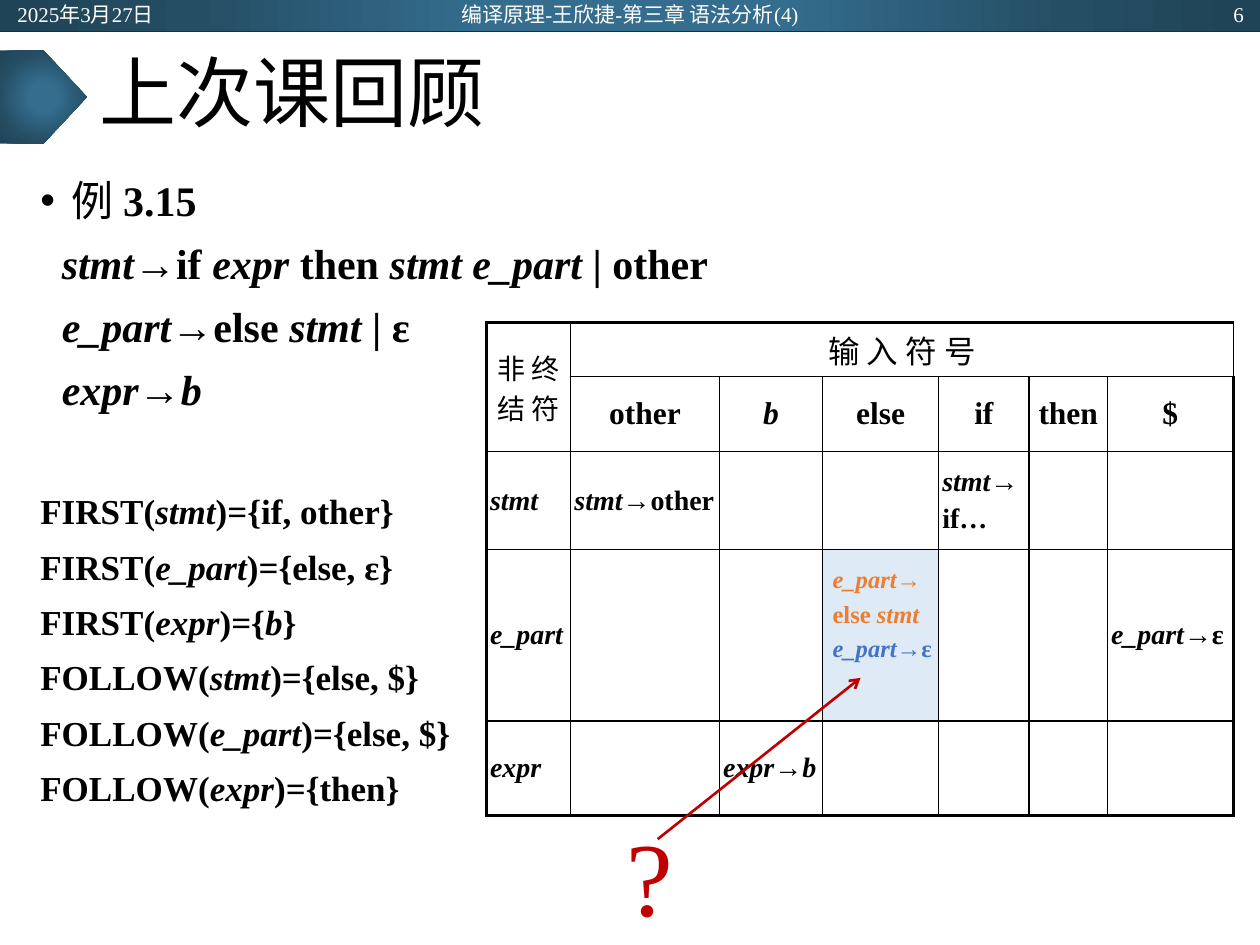
from dataclasses import dataclass

from lxml.etree import SubElement
from pptx import Presentation
from pptx.dml.color import RGBColor
from pptx.enum.shapes import MSO_CONNECTOR, MSO_SHAPE
from pptx.enum.text import MSO_ANCHOR, MSO_AUTO_SIZE, PP_ALIGN
from pptx.oxml.ns import qn
from pptx.util import Inches, Pt

FONT = "Times New Roman"
COLORS = {
    "black": "000000", "white": "FFFFFF", "rule": "222A35", "red": "C00000",
    "orange": "ED7D31", "blue": "4472C4", "highlight": "DEEBF7",
}
BANNER_STOPS = [(0, "346D8E"), (23, "346D8E"), (69, "254E64"), (97, "204457")]


@dataclass
class Line:
    """One paragraph; text between asterisks is italic."""
    text: str
    size: float
    bold: bool = True
    color: str = "black"
    align: PP_ALIGN = PP_ALIGN.LEFT
    before: float = 0
    spacing: float = 1.0


@dataclass
class Label:
    left: float
    top: float
    width: float
    height: float
    lines: list[Line]
    anchor: MSO_ANCHOR = MSO_ANCHOR.TOP
    wrap: bool = True


def color(name: str) -> RGBColor:
    return RGBColor.from_string(COLORS[name])


def add_spans(para, text: str, size: float, bold: bool, color_name: str) -> None:
    for position, part in enumerate(text.split("*")):
        if part:
            span = para.add_run()
            span.text = part
            span.font.name = FONT
            span.font.size = Pt(size)
            span.font.bold = bold
            span.font.italic = position % 2 == 1
            span.font.color.rgb = color(color_name)


def write(frame, lines: list[Line]) -> None:
    for number, line in enumerate(lines):
        para = frame.add_paragraph() if number else frame.paragraphs[0]
        para.alignment = line.align
        para.line_spacing = line.spacing
        para.space_before = Pt(line.before)
        add_spans(para, line.text, line.size, line.bold, line.color)


def place(shape, left: float, top: float, width: float, height: float) -> None:
    shape.left, shape.top = Inches(left), Inches(top)
    shape.width, shape.height = Inches(width), Inches(height)


def add_label(page, label: Label) -> None:
    box = page.shapes.add_textbox(Inches(label.left), Inches(label.top),
                                  Inches(label.width), Inches(label.height))
    box.text_frame.word_wrap = label.wrap
    box.text_frame.vertical_anchor = label.anchor
    write(box.text_frame, label.lines)


def add_glow(page, kind: MSO_SHAPE, top: float, width: float, height: float) -> None:
    """A shape at the left edge, filled with a radial gradient."""
    shape = page.shapes.add_shape(kind, 0, Inches(top), Inches(width), Inches(height))
    shape.shadow.inherit = False
    shape.line.fill.background()
    shape.fill.gradient()
    gradient = shape._element.spPr.find(qn("a:gradFill"))
    for child in list(gradient):
        gradient.remove(child)
    stops = SubElement(gradient, qn("a:gsLst"))
    for percent, value in BANNER_STOPS:
        stop = SubElement(stops, qn("a:gs"), pos=str(percent * 1000))
        SubElement(stop, qn("a:srgbClr"), val=value)
    circle = SubElement(gradient, qn("a:path"), path="circle")
    SubElement(circle, qn("a:fillToRect"), l="50000", t="50000", r="50000", b="50000")


def add_line(page, start: tuple, end: tuple, color_name: str, width: float, arrow: bool = False) -> None:
    line = page.shapes.add_connector(MSO_CONNECTOR.STRAIGHT, *map(Inches, start + end))
    line.line.color.rgb = color(color_name)
    line.line.width = Pt(width)
    if arrow:
        SubElement(line.line._get_or_add_ln(), qn("a:tailEnd"), type="arrow")
    SubElement(line._element.spPr, qn("a:effectLst"))


def set_border(cell, side: str, width: float) -> None:
    edge = SubElement(cell._tc.get_or_add_tcPr(), qn(f"a:ln{side}"), w=str(Pt(width)))
    fill = SubElement(edge, qn("a:solidFill"))
    SubElement(fill, qn("a:srgbClr"), val=COLORS["black"])


def add_parse_table(page) -> None:
    widths = [0.67, 1.18, 0.82, 0.92, 0.72, 0.62, 1]
    heights = [0.43, 0.42, 0.78, 1.36, 0.75]
    texts = {
        (0, 0): ["非 终 结 符"], (0, 1): ["输 入 符 号"],
        (2, 0): ["*stmt*"], (2, 1): ["*stmt*→other"], (2, 4): ["*stmt*→", "if…"],
        (3, 0): ["*e_part*"], (3, 6): ["*e_part*→ε"],
        (4, 0): ["*expr*"], (4, 2): ["*expr*→*b*"],
    }
    for column, token in enumerate(["other", "*b*", "else", "if", "then", "$"], 1):
        texts[1, column] = [token]

    table = page.shapes.add_table(len(heights), len(widths), Inches(3.86), Inches(2.56),
                                  Inches(sum(widths)), Inches(sum(heights))).table
    table.first_row = table.horz_banding = False
    for column, width in zip(table.columns, widths):
        column.width = Inches(width)
    for row, height in zip(table.rows, heights):
        row.height = Inches(height)
    table.cell(0, 0).merge(table.cell(1, 0))
    table.cell(0, 1).merge(table.cell(0, 6))

    last_row, last_column = len(heights) - 1, len(widths) - 1
    for row in range(len(heights)):
        for column in range(len(widths)):
            cell = table.cell(row, column)
            outer = {"L": column == 0, "R": column == last_column,
                     "T": row == 0, "B": row == last_row}
            for side, is_outer in outer.items():
                set_border(cell, side, 2.25 if is_outer else 1)
            if (row, column) == (3, 3):
                cell.fill.solid()
                cell.fill.fore_color.rgb = color("highlight")
            else:
                cell.fill.background()
            cell.vertical_anchor = MSO_ANCHOR.MIDDLE
            cell.margin_left = cell.margin_right = Inches(0.03 if row else 0.05)
            cell.margin_top = cell.margin_bottom = Inches(0.02 if row else 0.03)
            size = 18 if row < 2 and column else 16
            align = PP_ALIGN.CENTER if row < 2 else PP_ALIGN.LEFT
            write(cell.text_frame, [
                Line(text, size, bold=row > 0, align=align, before=3 if number else 0)
                for number, text in enumerate(texts.get((row, column), []))])


def fill_body(body) -> None:
    grammar = ["*stmt*→if *expr *then *stmt e_part* | other",
               "*e_part*→else *stmt* | ε", "*expr*→*b*"]
    sets = ["FIRST(*stmt*)={if, other}", "FIRST(*e_part*)={else, ε}", "FIRST(*expr*)={*b*}",
            "FOLLOW(*stmt*)={else, $}", "FOLLOW(*e_part*)={else, $}", "FOLLOW(*expr*)={then}"]
    lines = [Line("例 ", 24, bold=False, spacing=0.9)]
    lines += [Line(text, 24, before=10, spacing=0.9) for text in grammar]
    lines += [Line(text, 20, before=10 if number else 46, spacing=0.9)
              for number, text in enumerate(sets)]
    frame = body.text_frame
    frame.auto_size = MSO_AUTO_SIZE.NONE
    write(frame, lines)
    add_spans(frame.paragraphs[0], "3.15", 24, True, "black")

    # Bullet on the heading, indented grammar, flush sets
    for number, para in enumerate(frame.paragraphs):
        properties = para._p.get_or_add_pPr()
        margin = 0.25 if number == 0 else 0.17 if number <= len(grammar) else 0
        properties.set("marL", str(Inches(margin)))
        properties.set("indent", str(Inches(0 if number else -0.25)))
        if number:
            SubElement(properties, qn("a:buNone"))
        else:
            SubElement(properties, qn("a:buChar"), char="•")


def main() -> None:
    deck = Presentation()
    deck.slide_width, deck.slide_height = Inches(10), Inches(7.5)
    page = deck.slides.add_slide(deck.slide_layouts[1])
    title, body = page.placeholders

    # Banner and title marker
    add_glow(page, MSO_SHAPE.RECTANGLE, 0, 10, 0.25)
    add_line(page, (0, 0.25), (10, 0.25), "rule", 0.5)
    add_glow(page, MSO_SHAPE.PENTAGON, 0.4, 0.69, 0.74)
    banner = [(0.04, 2.25, "2025年3月27日", PP_ALIGN.LEFT),
              (3.31, 3.38, "编译原理-王欣捷-第三章 语法分析(4)", PP_ALIGN.CENTER),
              (7.72, 2.25, "6", PP_ALIGN.RIGHT)]
    for left, width, text, align in banner:
        line = Line(text, 12, bold=False, color="white", align=align)
        add_label(page, Label(left, 0.01, width, 0.2, [line], MSO_ANCHOR.MIDDLE))

    # Title and grammar
    place(title, 0.69, 0.25, 8.62, 1.04)
    title.text_frame.auto_size = MSO_AUTO_SIZE.NONE
    title.text_frame.vertical_anchor = MSO_ANCHOR.MIDDLE
    write(title.text_frame, [Line("上次课回顾", 44, bold=False, spacing=0.9)])
    place(body, 0.22, 1.38, 8.62, 5.38)
    fill_body(body)

    # Parse table and its conflicting entry
    add_parse_table(page)
    add_label(page, Label(6.51, 4.43, 1.26, 0.9, [
        Line("*e_part*→", 14, color="orange"),
        Line("else *stmt*", 14, color="orange", before=2.8),
        Line("*e_part*→ε", 14, color="blue", before=2.8)]))
    add_line(page, (5.22, 6.66), (6.83, 5.38), "red", 1.5, arrow=True)
    add_label(page, Label(4.87, 6.39, 0.58, 1.11,
                          [Line("?", 60, bold=False, color="red")], wrap=False))
    deck.save("out.pptx")


if __name__ == "__main__":
    main()
